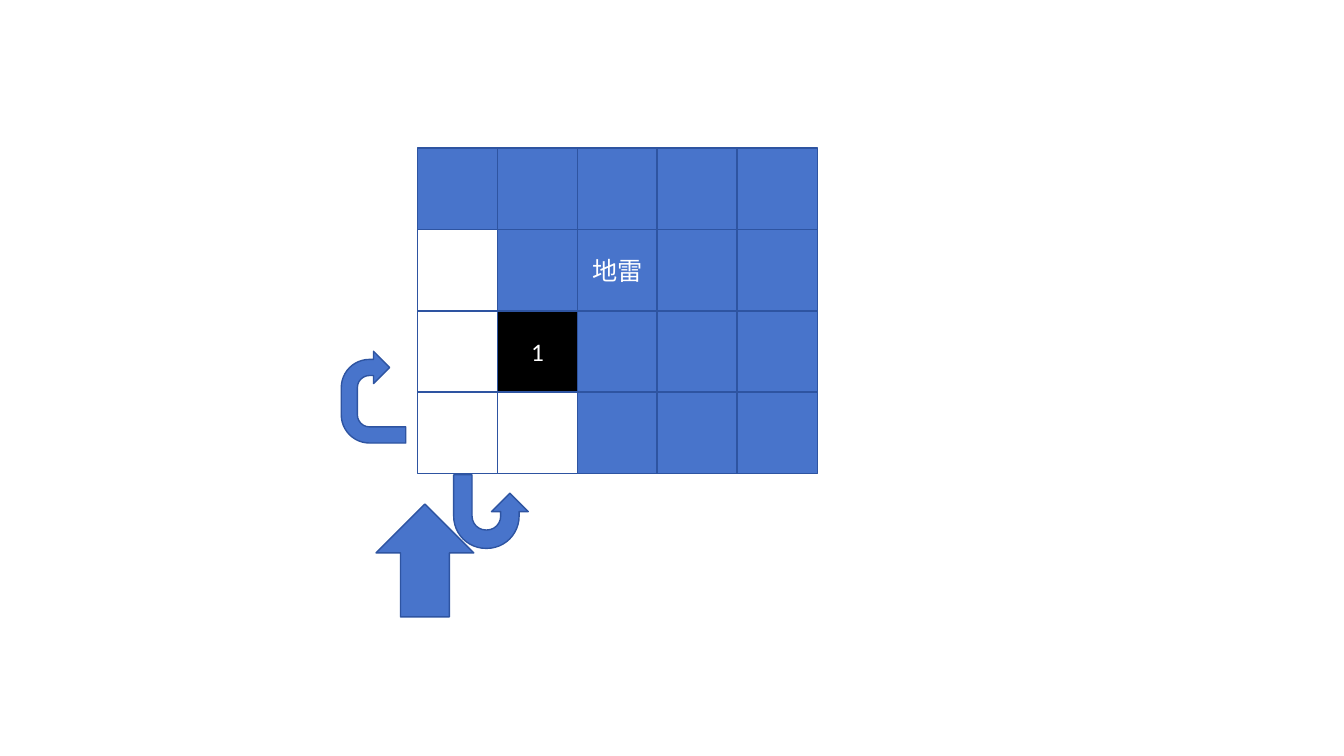
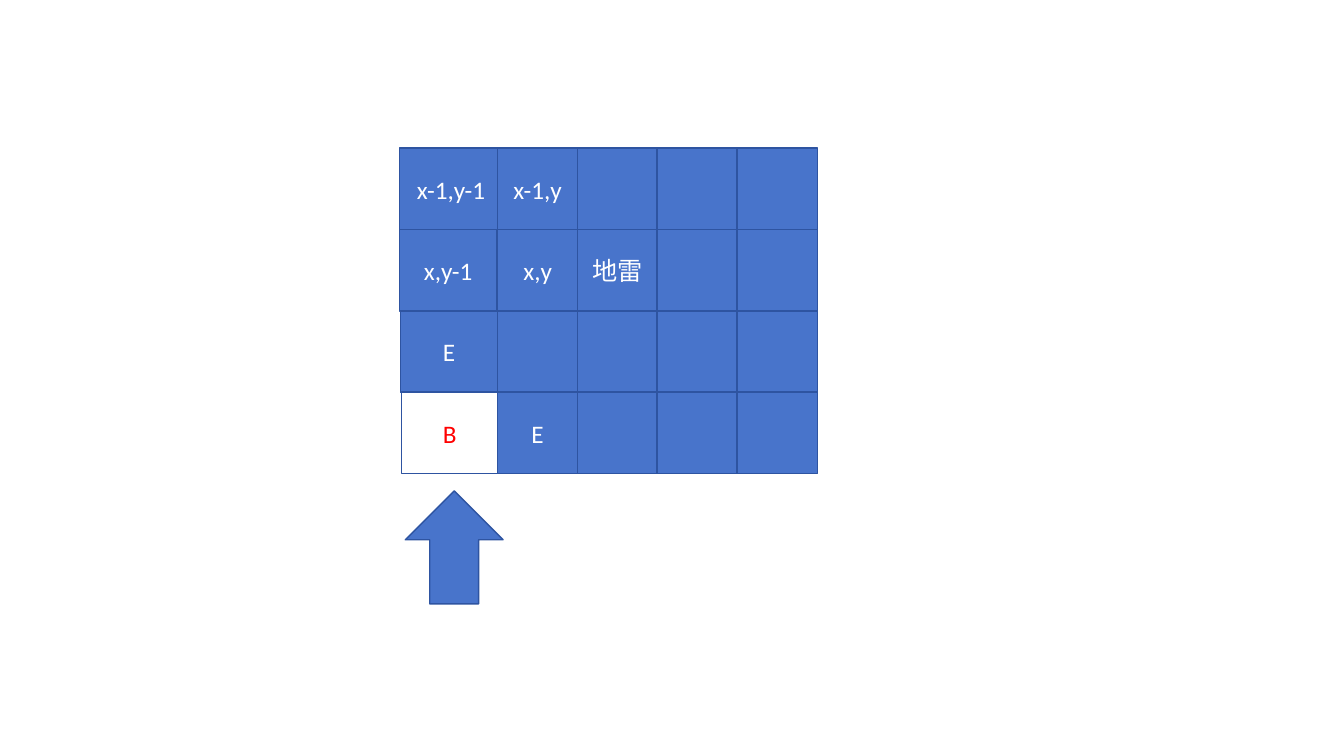
from dataclasses import dataclass, field

from pptx import Presentation
from pptx.dml.color import RGBColor
from pptx.enum.shapes import MSO_SHAPE
from pptx.enum.text import MSO_ANCHOR, PP_ALIGN
from pptx.shapes.autoshape import Shape
from pptx.slide import Slide
from pptx.util import Inches, Pt

SQUARE = MSO_SHAPE.RECTANGLE
UP_ARROW = MSO_SHAPE.UP_ARROW
U_TURN = MSO_SHAPE.U_TURN_ARROW
CENTER = PP_ALIGN.CENTER
MIDDLE = MSO_ANCHOR.MIDDLE
BLANK_LAYOUT = 6

BLUE, EDGE, WHITE, BLACK, RED = "4874CB", "2E54A1", "FFFFFF", "000000", "FF0000"
LABEL_FONT = {"name": "Calibri", "size": Pt(18)}

# Minefield grid, in inches
ROWS, COLUMNS = 4, 5
FIELD_LEFT, FIELD_TOP = 4.14, 1.47
COLUMN_PITCH = (7.31 - FIELD_LEFT) / (COLUMNS - 1)
ROW_PITCH = (3.89 - FIELD_TOP) / (ROWS - 1)
CELL_WIDTH, CELL_HEIGHT = 0.8, 0.81


@dataclass(frozen=True)
class Cell:
    text: str = ""
    fill: str = BLUE
    ink: str = WHITE


@dataclass(frozen=True)
class Arrow:
    kind: MSO_SHAPE
    left: float
    top: float
    width: float
    height: float
    rotation: int = 0
    mirrored: bool = False


@dataclass(frozen=True)
class Minefield:
    """Special cells by (row, column), first-column extents by row, and arrows."""
    cells: dict[tuple[int, int], Cell]
    arrows: tuple[Arrow, ...]
    first_column: dict[int, tuple[float, float]] = field(default_factory=dict)


MINE = Cell("地雷")
OPENED = Cell(fill=WHITE)

MINEFIELDS = (
    # Opened cells spread until they reach a number
    Minefield(
        cells={(1, 0): OPENED, (2, 0): OPENED, (3, 0): OPENED, (3, 1): OPENED,
               (1, 2): MINE, (2, 1): Cell("1", BLACK)},
        arrows=(Arrow(UP_ARROW, 3.73, 5, 0.97, 1.12),
                Arrow(U_TURN, 3.25, 3.62, 0.91, 0.64, 270),
                Arrow(U_TURN, 4.5, 4.71, 0.74, 0.73, 180, True)),
    ),
    # Coordinates of neighbouring cells
    Minefield(
        cells={(0, 0): Cell("x-1,y-1"), (0, 1): Cell("x-1,y"),
               (1, 0): Cell("x,y-1"), (1, 1): Cell("x,y"), (1, 2): MINE,
               (2, 0): Cell("E"), (3, 0): Cell("B", WHITE, RED),
               (3, 1): Cell("E")},
        arrows=(Arrow(UP_ARROW, 4.02, 4.87, 0.97, 1.12),),
        first_column={0: (3.96, 1.03), 1: (3.96, 0.97),
                      2: (3.97, 0.97), 3: (3.98, 0.96)},
    ),
)


def color(value: str) -> RGBColor:
    return RGBColor.from_string(value)


def add_outlined(slide: Slide, kind: MSO_SHAPE, left: float, top: float,
                 width: float, height: float, fill: str = BLUE) -> Shape:
    outlined = slide.shapes.add_shape(
        kind, Inches(left), Inches(top), Inches(width), Inches(height))
    outlined.shadow.inherit = False
    outlined.fill.solid()
    outlined.fill.fore_color.rgb = color(fill)
    outlined.line.color.rgb = color(EDGE)
    outlined.line.width = Pt(1)
    return outlined


def add_label(square: Shape, cell: Cell) -> None:
    frame = square.text_frame
    frame.vertical_anchor = MIDDLE
    label = frame.paragraphs[0]
    label.alignment = CENTER
    run = label.add_run()
    run.text = cell.text
    for attribute, value in LABEL_FONT.items():
        setattr(run.font, attribute, value)
    run.font.color.rgb = color(cell.ink)


def draw_cells(slide: Slide, minefield: Minefield) -> None:
    for row in range(ROWS):
        for column in range(COLUMNS):
            cell = minefield.cells.get((row, column), Cell())
            left, width = FIELD_LEFT + column * COLUMN_PITCH, CELL_WIDTH
            if column == 0:
                left, width = minefield.first_column.get(row, (left, width))
            square = add_outlined(slide, SQUARE, left, FIELD_TOP + row * ROW_PITCH,
                                  width, CELL_HEIGHT, cell.fill)
            if cell.text:
                add_label(square, cell)


def draw_arrow(slide: Slide, arrow: Arrow) -> None:
    drawn = add_outlined(slide, arrow.kind, arrow.left, arrow.top,
                         arrow.width, arrow.height)
    drawn.rotation = arrow.rotation
    if arrow.mirrored:
        drawn.element.spPr.xfrm.set("flipH", "1")


def main() -> None:
    deck = Presentation()
    deck.slide_width, deck.slide_height = Inches(13.33), Inches(7.5)
    for minefield in MINEFIELDS:
        slide = deck.slides.add_slide(deck.slide_layouts[BLANK_LAYOUT])
        draw_cells(slide, minefield)
        for arrow in minefield.arrows:
            draw_arrow(slide, arrow)
    deck.save("out.pptx")


if __name__ == "__main__":
    main()
